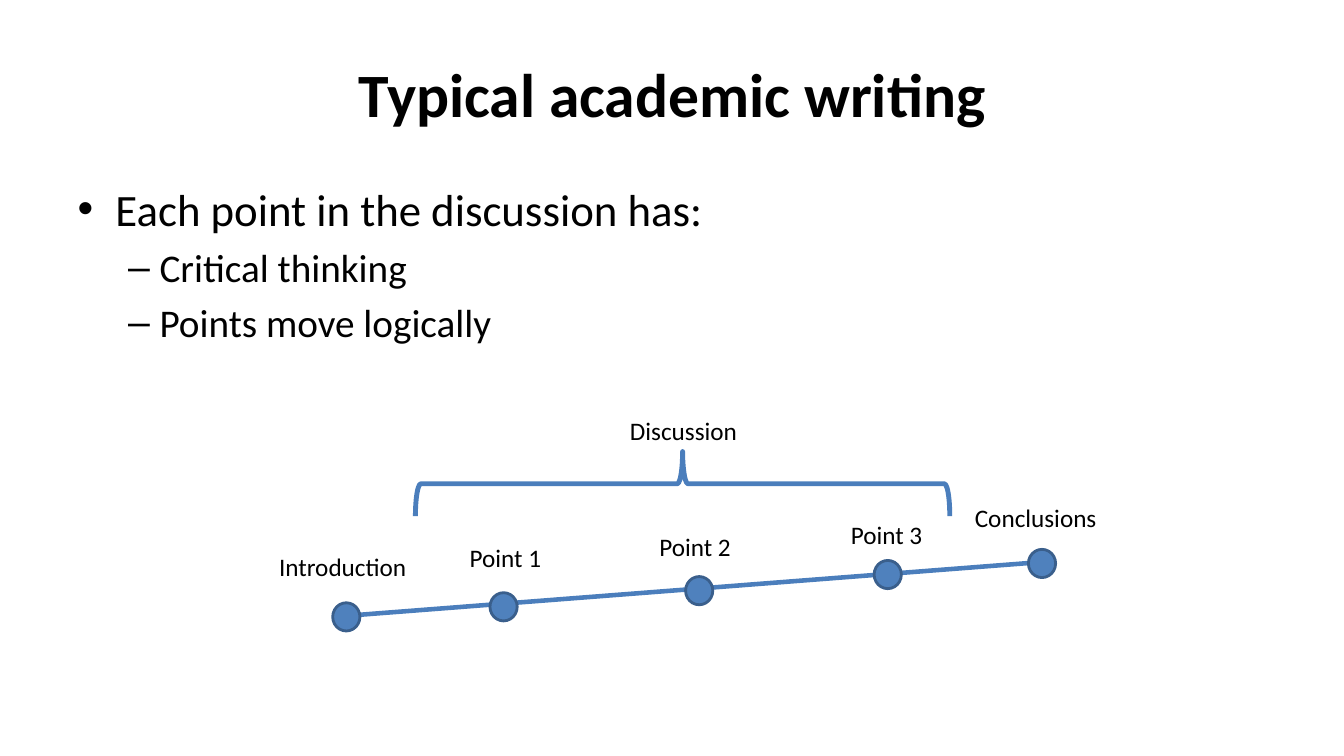
import pptx
import pptx.util
import pptx.dml.color
import pptx.enum.shapes
import pptx.enum.text
import pptx.oxml.ns
from lxml import etree

TITLE = "Typical academic writing"
BULLETS = [
    ("Each point in the discussion has:", 0, 32),
    ("Critical thinking", 1, 28),
    ("Points move logically", 1, 28),
]
STAGES = [
    ("Introduction", (330, 598), (267, 542, 153)),
    ("Point 1", (486, 588), (456, 533, 92)),
    ("Point 2", (680, 572), (644, 522, 92)),
    ("Point 3", (867, 556), (834, 510, 92)),
    ("Conclusions", (1020, 545), (957, 493, 142)),
]
DISCUSSION = ("Discussion", (615, 407, 127))
BRACE = (645, 215, 64, 530)
PROGRESS_LINE = (330, 612, 1041, 557)
DOT_SIZE = (27, 28)
LABEL_HEIGHT = 40
FONT = "Calibri"
COLORS = {"text": "000000", "line": "4B7EBC", "dot": "4F81BD", "outline": "3A5F8C"}
EMU_PER_PX = 9144


def px(*lengths):
    return [pptx.util.Emu(length * EMU_PER_PX) for length in lengths]


def color(name):
    return pptx.dml.color.RGBColor.from_string(COLORS[name])


def set_font(paragraph, size, bold=False):
    paragraph.font.name = FONT
    paragraph.font.size = pptx.util.Pt(size)
    paragraph.font.bold = bold
    paragraph.font.color.rgb = color("text")


def set_line(shape, name, width):
    shape.line.color.rgb = color(name)
    shape.line.width = pptx.util.Pt(width)


def place(shape, *box):
    shape.left, shape.top, shape.width, shape.height = px(*box)


def add_label(slide, text, position):
    label = slide.shapes.add_textbox(*px(*position, LABEL_HEIGHT))
    frame = label.text_frame
    frame.word_wrap = False
    frame.auto_size = pptx.enum.text.MSO_AUTO_SIZE.SHAPE_TO_FIT_TEXT
    frame.text = text
    set_font(frame.paragraphs[0], 18)


def add_text(slide):
    title, body = slide.placeholders
    place(title, 67, 30, 1200, 125)
    title.text_frame.text = TITLE
    set_font(title.text_frame.paragraphs[0], 44, bold=True)

    place(body, 67, 175, 1200, 495)
    body.text_frame.text = "\n".join(text for text, level, size in BULLETS)
    for paragraph, (text, level, size) in zip(body.text_frame.paragraphs, BULLETS):
        paragraph.level = level
        set_font(paragraph, size)
    body.text_frame.paragraphs[0].space_before = pptx.util.Pt(0)


def add_diagram(slide):
    shapes = slide.shapes
    kinds = pptx.enum.shapes.MSO_SHAPE
    straight = pptx.enum.shapes.MSO_CONNECTOR.STRAIGHT
    progress = shapes.add_connector(straight, *px(*PROGRESS_LINE))
    set_line(progress, "line", 3.25)
    etree.SubElement(progress.element.spPr, pptx.oxml.ns.qn("a:effectLst"))

    for text, dot_position, label_position in STAGES:
        dot = shapes.add_shape(kinds.OVAL, *px(*dot_position, *DOT_SIZE))
        dot.shadow.inherit = False
        dot.fill.solid()
        dot.fill.fore_color.rgb = color("dot")
        set_line(dot, "outline", 2)
        add_label(slide, text, label_position)

    add_label(slide, *DISCUSSION)
    brace = shapes.add_shape(kinds.LEFT_BRACE, *px(*BRACE))
    brace.rotation = 90
    brace.shadow.inherit = False
    brace.fill.background()
    set_line(brace, "line", 3.5)


def main():
    presentation = pptx.Presentation()
    presentation.slide_width = pptx.util.Inches(13.33)
    presentation.slide_height = pptx.util.Inches(7.5)
    slide = presentation.slides.add_slide(presentation.slide_layouts[1])
    add_text(slide)
    add_diagram(slide)
    presentation.save("out.pptx")


if __name__ == "__main__":
    main()
